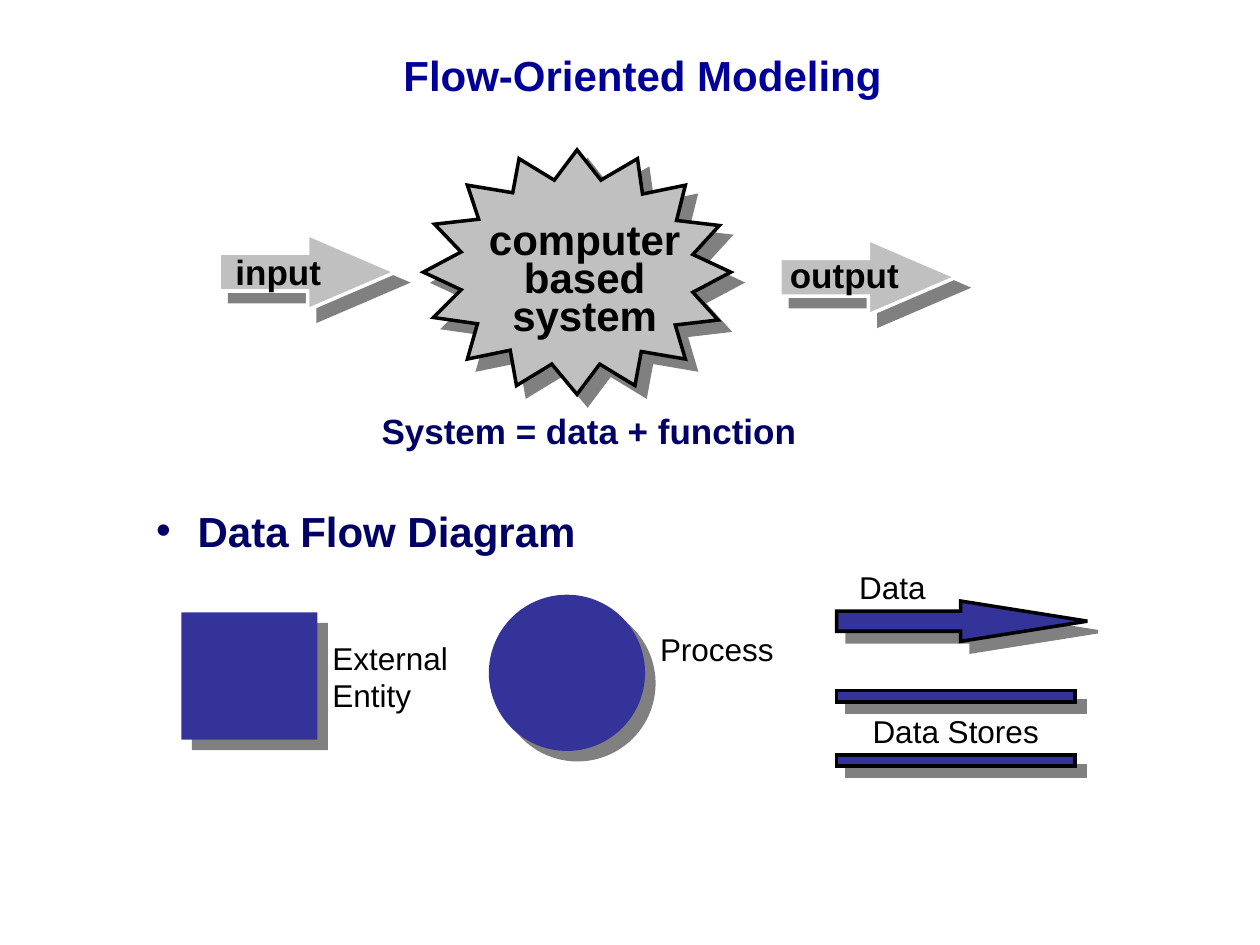
from lxml import etree
from pptx import Presentation
from pptx.dml.color import RGBColor
from pptx.enum.shapes import MSO_SHAPE
from pptx.enum.text import MSO_ANCHOR, MSO_AUTO_SIZE, PP_ALIGN
from pptx.oxml.ns import qn
from pptx.util import Pt

PX = 9144
FONT = "Arial"
LEFT, CENTER = PP_ALIGN.LEFT, PP_ALIGN.CENTER
MIDDLE = MSO_ANCHOR.MIDDLE
GROW = MSO_AUTO_SIZE.SHAPE_TO_FIT_TEXT
ARROW, RECT, OVAL = MSO_SHAPE.RIGHT_ARROW, MSO_SHAPE.RECTANGLE, MSO_SHAPE.OVAL
BLACK, WHITE, SILVER, GRAY = "000000", "FFFFFF", "C0C0C0", "808080"
TITLE_BLUE, NAVY, INDIGO = "000099", "000066", "333399"
STAR = [
    (0, 97), (30, 111), (8, 133), (43, 138), (35, 166), (69, 159), (74, 187), (102, 170),
    (122, 194), (140, 170), (168, 187), (173, 160), (208, 166), (200, 139), (234, 135), (214, 113),
    (244, 97), (214, 83), (235, 60), (201, 56), (208, 28), (174, 35), (170, 7), (141, 24),
    (122, 0), (104, 24), (76, 7), (71, 34), (35, 28), (44, 55), (9, 59), (30, 81),
]


def rgb(value):
    """Return the colour for a hex string."""
    return RGBColor.from_string(value)


def emu(*lengths):
    """Turn px lengths into EMU."""
    return [n * PX for n in lengths]


def add_run(p, text, size, color, bold):
    """Add one formatted run to a paragraph."""
    r = p.add_run()
    r.text = text
    r.font.name, r.font.size, r.font.bold = FONT, Pt(size), bold
    r.font.color.rgb = rgb(color)


def add_text(shapes, box, lines, size=18, color=BLACK, bold=False, align=LEFT,
             wrap=True, before=None, spacing=None):
    """Add a text box with one paragraph per line."""
    sp = shapes.add_textbox(*emu(*box))
    tf = sp.text_frame
    tf.word_wrap, tf.auto_size = wrap, GROW
    for i, line in enumerate(lines):
        p = tf.add_paragraph() if i else tf.paragraphs[0]
        p.alignment, p.line_spacing = align, spacing
        if before:
            p.space_before = Pt(before)
        add_run(p, line, size, color, bold)
    return sp


def style(sp, fill, line=None):
    """Set fill, mitred outline and a hard offset shadow."""
    sp.fill.solid()
    sp.fill.fore_color.rgb = rgb(fill)
    if line:
        sp.line.color.rgb = rgb(line)
        sp.line.width = Pt(2)
        ln = sp._element.spPr.find(qn("a:ln"))
        etree.SubElement(ln, qn("a:miter"), lim="800000")
    else:
        sp.line.fill.background()
    sp.shadow.inherit = False
    effects = sp._element.spPr.find(qn("a:effectLst"))
    shadow = etree.SubElement(effects, qn("a:outerShdw"), dist=str(Pt(8.5)),
                              dir="2700000", algn="ctr", rotWithShape="0")
    etree.SubElement(shadow, qn("a:srgbClr"), val=GRAY)


def add_block(shapes, kind, box, fill, line=None, head=None):
    """Add a shadowed preset shape, with a head ratio for arrows."""
    sp = shapes.add_shape(kind, *emu(*box))
    if head:
        sp.adjustments[0], sp.adjustments[1] = 0.5, head
    style(sp, fill, line)


def add_title(slide, box, text):
    """Place and format the slide title."""
    sp = slide.shapes.title
    sp.left, sp.top, sp.width, sp.height = emu(*box)
    tf = sp.text_frame
    tf.vertical_anchor = MIDDLE
    p = tf.paragraphs[0]
    p.alignment = CENTER
    add_run(p, text, 24, TITLE_BLUE, True)


def add_system(slide, x, y):
    """Draw the system star with its input and output arrows."""
    shapes = slide.shapes.add_group_shape().shapes
    points = [(x + 162 + px, y + py) for px, py in STAR]
    builder = shapes.build_freeform(*points[0], scale=PX)
    builder.add_line_segments(points[1:], close=True)
    style(builder.convert_to_shape(), SILVER, BLACK)
    for dx, dy in ((0, 67), (445, 71)):
        add_block(shapes, ARROW, (x + dx, y + dy, 140, 60), SILVER, WHITE, 1.164)
    add_text(shapes, (x + 204, y + 55, 172, 100), ["computer", "based", "system"],
             24, bold=True, align=CENTER, wrap=False, spacing=0.75)
    for text, dx, dy, w in (("input", 3, 75, 92), ("output", 443, 77, 112)):
        add_text(shapes, (x + dx, y + dy, w, 43), [text], 20, bold=True, wrap=False)


def add_heading(slide, box, text):
    """Add the bulleted section heading."""
    sp = add_text(slide.shapes, box, [text], 24, NAVY, True, before=15)
    pPr = sp.text_frame.paragraphs[0]._p.get_or_add_pPr()
    pPr.set("marL", str(33 * PX))
    pPr.set("indent", str(-33 * PX))
    color = etree.SubElement(pPr, qn("a:buClr"))
    etree.SubElement(color, qn("a:srgbClr"), val=NAVY)
    etree.SubElement(pPr, qn("a:buFont"), typeface=FONT)
    etree.SubElement(pPr, qn("a:buChar"), char="•")


def add_symbol(slide, kind, box, text, dy, w, h):
    """Draw a notation symbol with its label on the right."""
    shapes = slide.shapes.add_group_shape().shapes
    x, y, width, _ = box
    add_block(shapes, kind, box, INDIGO)
    add_text(shapes, (x + width + 2, y + dy, w, h), [text], before=11.2)


def add_data_flow(slide, x, y):
    """Draw the data arrow with its label above."""
    shapes = slide.shapes.add_group_shape().shapes
    add_block(shapes, ARROW, (x, y + 31, 199, 32), INDIGO, BLACK, 3.142)
    add_text(shapes, (x + 8, y, 150, 40), ["Data"], before=11.2)


def add_data_store(slide, x, y):
    """Draw the two data store bars around their label."""
    shapes = slide.shapes.add_group_shape().shapes
    for dy in (0, 51):
        add_block(shapes, RECT, (x, y + dy, 189, 9), INDIGO, BLACK)
    add_text(shapes, (x - 8, y + 12, 205, 40), ["Data Stores"], align=CENTER, before=11.2)


def main():
    """Build and save the slide."""
    prs = Presentation()
    prs.slide_width, prs.slide_height = emu(1000, 750)
    slide = prs.slides.add_slide(prs.slide_layouts[5])
    add_title(slide, (185, 21, 650, 76), "Flow-Oriented Modeling")
    add_system(slide, 174, 119)
    add_text(slide.shapes, (293, 320, 360, 44), ["System = data + function"],
             20, NAVY, True, wrap=False)
    add_heading(slide, (114, 396, 425, 50), "Data Flow Diagram")
    add_symbol(slide, RECT, (144, 486, 108, 101), "External Entity", 16, 118, 70)
    add_symbol(slide, OVAL, (388, 472, 124, 124), "Process", 23, 157, 40)
    add_data_flow(slide, 664, 446)
    add_data_store(slide, 664, 548)
    prs.save("out.pptx")


if __name__ == "__main__":
    main()
